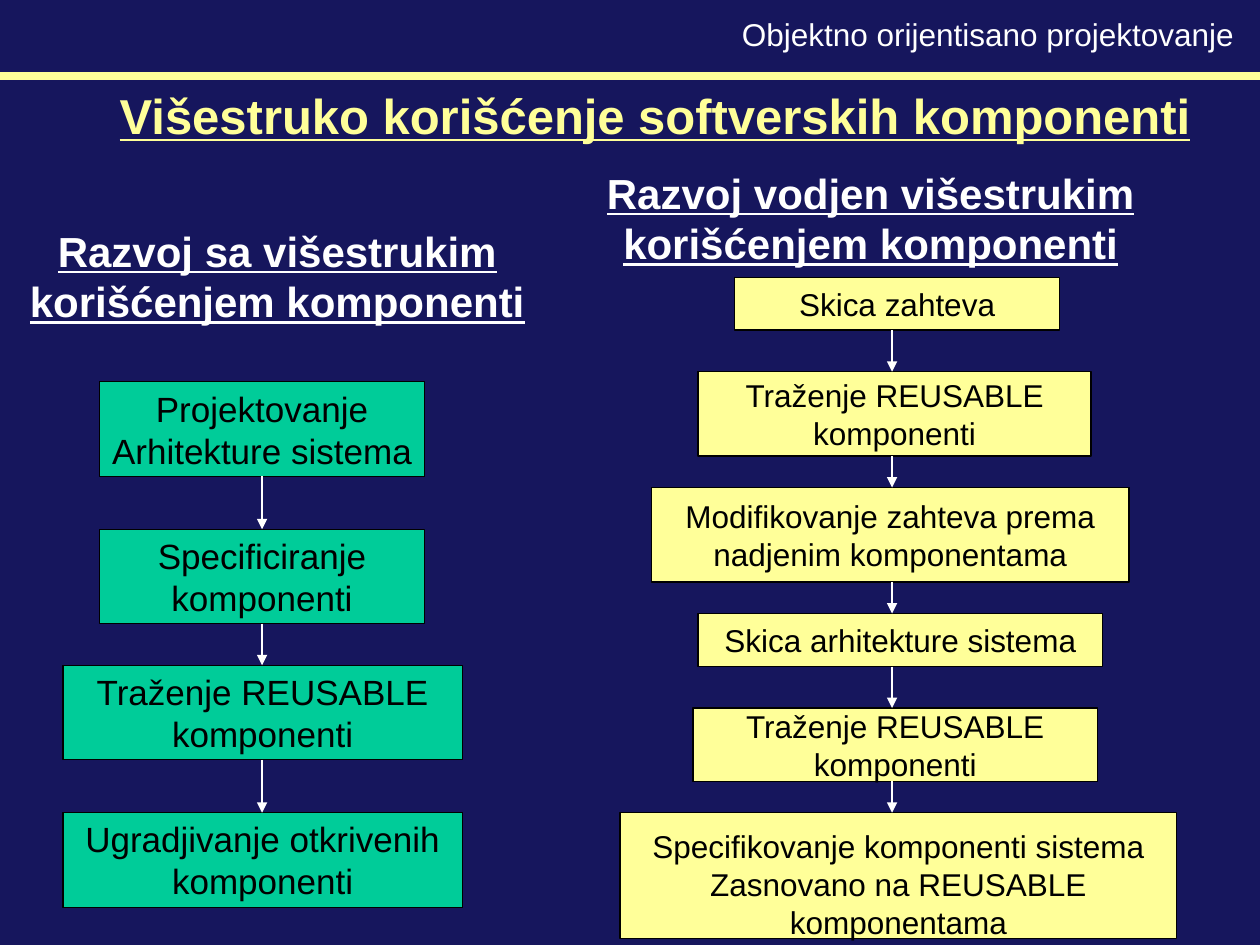
"""Build a slide comparing two ways of developing with reusable components."""
import pptx
import pptx.dml.color
import pptx.enum.shapes
import pptx.enum.text
import pptx.util
from lxml import etree

Inches = pptx.util.Inches
ALIGN = pptx.enum.text.PP_ALIGN
ANCHOR = pptx.enum.text.MSO_ANCHOR

NAVY, CREAM, GREEN, WHITE, BLACK = "16165D", "FFFF99", "00CC99", "FFFFFF", "000000"
TITLE = "Višestruko korišćenje softverskih komponenti"
TOPIC = "Objektno orijentisano projektovanje"
FLOWS = [
    {
        "head": "Razvoj sa višestrukim\nkorišćenjem komponenti",
        "area": (0.14, 1.74, 4.12, 0.9),
        "fill": GREEN, "size": 20, "axis": 2.08,
        "steps": [
            ("Projektovanje\nArhitekture sistema", (0.79, 3.03, 2.58, 0.75)),
            ("Specificiranje\nkomponenti", (0.79, 4.2, 2.58, 0.75)),
            ("Traženje REUSABLE\nkomponenti", (0.5, 5.28, 3.17, 0.75)),
            ("Ugradjivanje otkrivenih\nkomponenti", (0.5, 6.45, 3.17, 0.75)),
        ],
    },
    {
        "head": "Razvoj vodjen višestrukim\nkorišćenjem komponenti",
        "area": (4.72, 1.28, 4.38, 0.9),
        "fill": CREAM, "size": 18, "axis": 7.08,
        "steps": [
            ("Skica zahteva", (5.83, 2.2, 2.58, 0.42)),
            ("Traženje REUSABLE\nkomponenti", (5.54, 2.95, 3.12, 0.67)),
            ("Modifikovanje zahteva prema\nnadjenim komponentama", (5.17, 3.87, 3.79, 0.75)),
            ("Skica arhitekture sistema", (5.54, 4.87, 3.21, 0.42)),
            ("Traženje REUSABLE\nkomponenti", (5.5, 5.62, 3.21, 0.58)),
            ("Specifikovanje komponenti sistema\nZasnovano na REUSABLE\nkomponentama",
             (4.92, 6.45, 4.42, 1), 0.18),
        ],
    },
]


def paint(form, tone):
    form.solid()
    form.fore_color.rgb = pptx.dml.color.RGBColor.from_string(tone)


def write(shape, text, size=18, tone=WHITE, strong=False, align=ALIGN.CENTER,
          anchor=ANCHOR.TOP, top=0.05):
    frame = shape.text_frame
    frame.text = text
    frame.word_wrap = False
    frame.auto_size = pptx.enum.text.MSO_AUTO_SIZE.NONE
    frame.vertical_anchor = anchor
    frame.margin_top = Inches(top)
    for para in frame.paragraphs:
        para.alignment = align
        font = para.runs[0].font
        font.name, font.size = "Arial", pptx.util.Pt(size)
        font.bold = font.underline = strong
        paint(font.fill, tone)


def label(slide, text, area, **style):
    write(slide.shapes.add_textbox(*map(Inches, area)), text, **style)


def box(slide, text, area, fill, size, top=0.05):
    kind = pptx.enum.shapes.MSO_SHAPE.RECTANGLE
    shape = slide.shapes.add_shape(kind, *map(Inches, area))
    shape.shadow.inherit = False
    paint(shape.fill, fill)
    paint(shape.line.fill, BLACK)
    shape.line.width = pptx.util.Pt(0.75)
    write(shape, text, size=size, tone=BLACK, anchor=ANCHOR.MIDDLE, top=top)


def line(slide, ends, tone=WHITE, width=0.75, arrow=True):
    kind = pptx.enum.shapes.MSO_CONNECTOR.STRAIGHT
    link = slide.shapes.add_connector(kind, *map(Inches, ends))
    paint(link.line.fill, tone)
    link.line.width = pptx.util.Pt(width)
    props = link._element.spPr
    if arrow:
        tip = etree.SubElement(link.line._get_or_add_ln(), pptx.oxml.ns.qn("a:tailEnd"))
        tip.set("type", "triangle")
    etree.SubElement(props, pptx.oxml.ns.qn("a:effectLst"))


def draw(slide, flow):
    label(slide, flow["head"], flow["area"], size=24, strong=True)
    steps = flow["steps"]
    for text, area, *top in steps:
        box(slide, text, area, flow["fill"], flow["size"], *top)
    for prior, after in zip(steps, steps[1:]):
        start = prior[1][1] + prior[1][3]
        line(slide, (flow["axis"], start, flow["axis"], after[1][1]))


def main():
    deck = pptx.Presentation()
    deck.slide_width, deck.slide_height = Inches(10), Inches(7.5)
    slide = deck.slides.add_slide(deck.slide_layouts[5])
    paint(slide.background.fill, NAVY)
    title = slide.shapes.title
    title.left, title.top, title.width, title.height = map(Inches, (0.85, 0.63, 8.7, 0.57))
    write(title, TITLE, size=28, tone=CREAM, strong=True, align=ALIGN.LEFT)
    for flow in FLOWS:
        draw(slide, flow)
    label(slide, TOPIC, (5.79, 0.07, 4.1, 0.4), align=ALIGN.LEFT)
    line(slide, (10, 0.6, 0, 0.6), tone=CREAM, width=4.5, arrow=False)
    deck.save("out.pptx")


if __name__ == "__main__":
    main()
